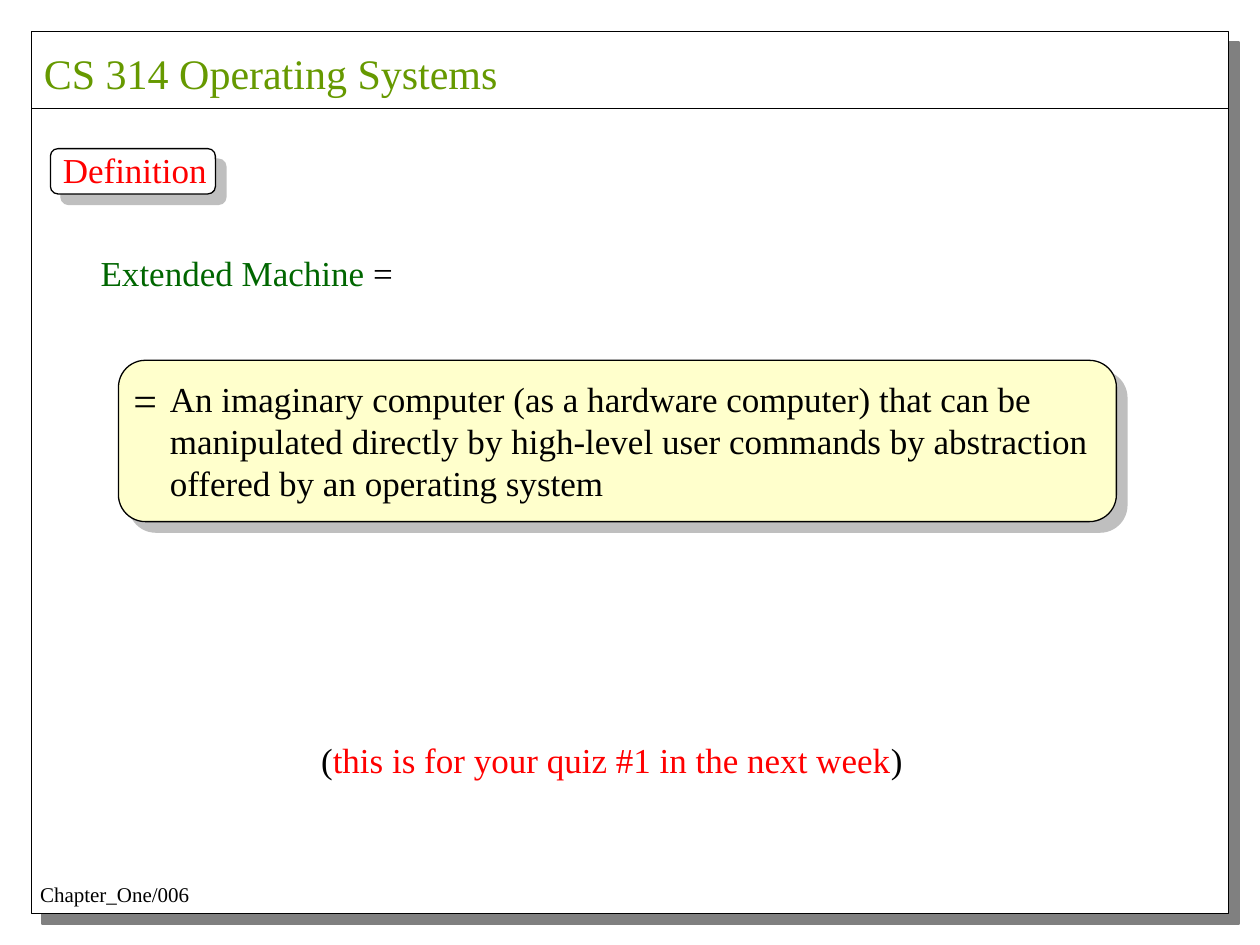
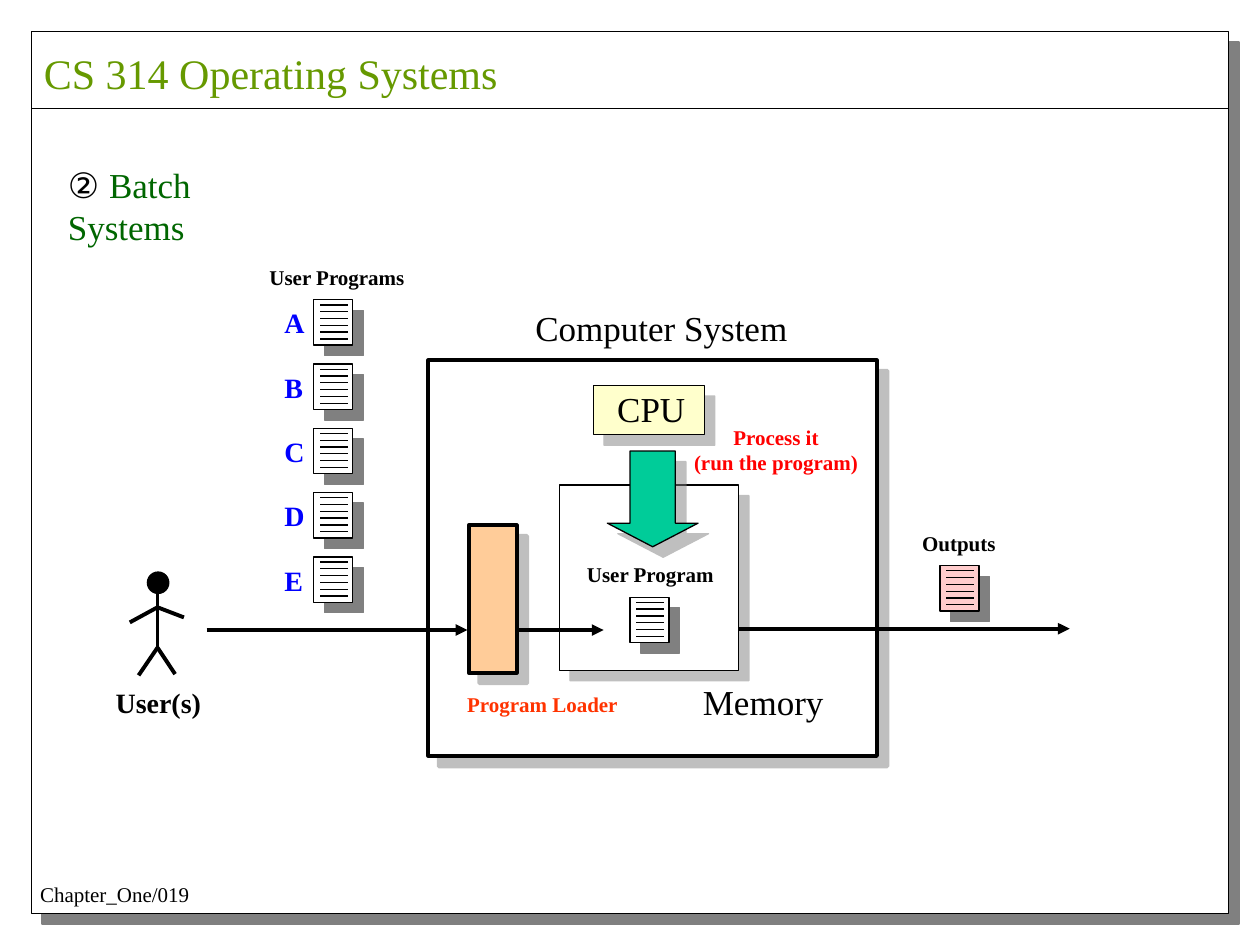
"""Builds two operating systems lecture slides: a definition and a batch system diagram."""
from lxml import etree
from pptx import Presentation
from pptx import util as u
from pptx.dml.color import RGBColor
from pptx.enum import shapes, text
from pptx.oxml.ns import qn

COLORS = {
    "ink": "000000", "paper": "FFFFFF", "shadow": "808080", "title": "669900",
    "red": "FF0000", "term": "006600", "cream": "FFFFCC", "pink": "FFCCCC",
    "arrow": "00CC99", "loader": "FFCC99", "loader_label": "FF3300", "letter": "0000FF",
}
SERIF = "Times New Roman"
THIN, THICK = 0.75, 2.25
BOX = shapes.MSO_SHAPE.RECTANGLE
ROUNDED = shapes.MSO_SHAPE.ROUNDED_RECTANGLE


def color(name):
    """Return the palette colour with this name."""
    return RGBColor.from_string(COLORS[name])


def add_shadow(shape, opacity):
    """Give a shape a hard shadow to the lower right."""
    effects = shape._element.spPr.find(qn("a:effectLst"))
    shadow = etree.SubElement(effects, qn("a:outerShdw"), dist=str(u.Pt(8.5)),
                              dir="2700000", algn="ctr", rotWithShape="0")
    shade = etree.SubElement(shadow, qn("a:srgbClr"), val=COLORS["shadow"])
    etree.SubElement(shade, qn("a:alpha"), val=str(opacity * 1000))


def add_block(canvas, kind, left, top, width, height, fill="paper", weight=THIN, opacity=50):
    """Add an outlined preset shape, with a shadow unless opacity is 0."""
    block = canvas.add_shape(kind, u.Inches(left), u.Inches(top),
                             u.Inches(width), u.Inches(height))
    block.shadow.inherit = False
    block.fill.solid()
    block.fill.fore_color.rgb = color(fill)
    block.line.color.rgb = color("ink")
    block.line.width = u.Pt(weight)
    if opacity:
        add_shadow(block, opacity)
    return block


def add_line(canvas, start, end, weight=THIN, arrow=False):
    """Add a straight black line, with an arrowhead at its end if asked."""
    line = canvas.add_connector(shapes.MSO_CONNECTOR.STRAIGHT,
                                *(u.Inches(value) for value in (*start, *end)))
    line.line.color.rgb = color("ink")
    line.line.width = u.Pt(weight)
    if arrow:
        etree.SubElement(line.line._get_or_add_ln(), qn("a:tailEnd"), type="triangle")
    etree.SubElement(line._element.spPr, qn("a:effectLst"))


def add_label(canvas, left, top, width, height, lines, size=20, ink="ink",
              bold=False, centered=False):
    """Add text; each line is a string or a list of (words, colour, font) runs."""
    label = canvas.add_textbox(u.Inches(left), u.Inches(top), u.Inches(width), u.Inches(height))
    frame = label.text_frame
    frame.word_wrap = True
    frame.auto_size = text.MSO_AUTO_SIZE.NONE
    frame.margin_left = u.Inches(0 if centered else 0.1)
    frame.margin_right = u.Inches(0)
    for index, line in enumerate(lines):
        paragraph = frame.add_paragraph() if index else frame.paragraphs[0]
        paragraph.alignment = text.PP_ALIGN.CENTER if centered else text.PP_ALIGN.LEFT
        paragraph.font.size = u.Pt(size)
        paragraph.font.bold = bold
        if isinstance(line, str):
            paragraph.text = line
            paragraph.font.name = SERIF
            paragraph.font.color.rgb = color(ink)
            continue
        for words, run_ink, typeface in line:
            run = paragraph.add_run()
            run.text = words
            run.font.name = typeface
            run.font.color.rgb = color(run_ink)


def add_document(canvas, left, top, fill="paper"):
    """Add a page icon with six ruled lines."""
    add_block(canvas, BOX, left, top, 0.31, 0.36, fill, opacity=100)
    for row in range(6):
        y = top + 0.04 + row * 0.27 / 5
        add_line(canvas, (left + 0.05, y), (left + 0.27, y))


def add_user(canvas):
    """Add the stick figure of the user and its caption."""
    add_block(canvas, shapes.MSO_SHAPE.OVAL, 1.17, 4.54, 0.17, 0.17, "ink", opacity=0)
    neck, shoulder, hip = (1.25, 4.63), (1.25, 4.82), (1.25, 5.14)
    limbs = [(neck, hip), (hip, (1.1, 5.36)), (hip, (1.39, 5.35)),
             (shoulder, (1.03, 4.94)), (shoulder, (1.46, 4.9))]
    for start, end in limbs:
        add_line(canvas, start, end, THICK)
    add_label(canvas, 0.82, 5.39, 0.87, 0.37, ["User(s)"], 16, bold=True)


def add_page(deck, number):
    """Add a slide with the framed page, course title and page number."""
    canvas = deck.slides.add_slide(deck.slide_layouts[6]).shapes
    add_block(canvas, BOX, 0.25, 0.25, 9.5, 7, opacity=100)
    add_line(canvas, (0.25, 0.86), (9.75, 0.86))
    add_label(canvas, 0.25, 0.33, 3.8, 0.5, ["CS 314 Operating Systems"], 24, "title")
    add_label(canvas, 0.22, 6.95, 1.38, 0.3, [f"Chapter_One/{number:03}"], 12)
    return canvas


def build_definition(deck):
    """Build the slide that defines the extended machine."""
    page = add_page(deck, 6)
    add_block(page, ROUNDED, 0.4, 1.18, 1.31, 0.36)
    add_label(page, 0.4, 1.13, 1.34, 0.44, ["Definition"], ink="red")
    add_label(page, 0.7, 1.95, 2.52, 0.44,
              [[("Extended Machine", "term", SERIF), (" =", "ink", SERIF)]])
    add_block(page, ROUNDED, 0.94, 2.86, 7.92, 1.28, "cream")
    add_label(page, 0.96, 2.92, 0.39, 0.5, ["="], 24)
    add_label(page, 1.25, 2.95, 7.49, 1.1, [
        "An imaginary computer (as a hardware computer) that can be",
        "manipulated directly by high-level user commands by abstraction",
        "offered by an operating system"])
    add_label(page, 2.45, 5.81, 4.81, 0.44, [[
        ("(", "ink", SERIF),
        ("this is for your quiz #1 in the next week", "red", SERIF),
        (")", "ink", SERIF)]])


def build_batch_systems(deck):
    """Build the diagram of programs loaded, run and printed in a batch system."""
    page = add_page(deck, 19)
    add_label(page, 0.44, 1.25, 1.6, 0.77,
              [[("② ", "ink", "Arial"), ("Batch Systems", "term", SERIF)]])

    add_block(page, BOX, 3.4, 2.86, 3.56, 3.14, weight=THICK)
    add_label(page, 4.15, 2.38, 2.2, 0.44, ["Computer System"])
    add_block(page, BOX, 4.71, 3.06, 0.88, 0.39, "cream")
    add_label(page, 4.8, 3.03, 0.74, 0.44, ["CPU"])
    add_block(page, BOX, 4.44, 3.85, 1.42, 1.47)
    add_label(page, 5.48, 5.35, 1.16, 0.44, ["Memory"])
    add_line(page, (1.64, 5), (3.71, 5), THICK, arrow=True)

    add_label(page, 4.56, 4.41, 1.21, 0.3, ["User Program"], 12, bold=True)
    add_document(page.add_group_shape().shapes, 5, 4.74)
    add_line(page, (5.86, 4.99), (8.49, 4.99), THICK, arrow=True)
    add_label(page, 7.22, 4.16, 0.78, 0.3, ["Outputs"], 12, bold=True)
    add_document(page.add_group_shape().shapes, 7.46, 4.49, "pink")

    process = add_block(page, shapes.MSO_SHAPE.DOWN_ARROW, 4.82, 3.58, 0.72, 0.76, "arrow")
    process.adjustments[0] = 0.5
    process.adjustments[1] = 0.26
    add_label(page, 5.41, 3.32, 1.5, 0.5, ["Process it", "(run the program)"],
              12, "red", bold=True, centered=True)

    add_label(page, 2.04, 2.05, 1.28, 0.3, ["User Programs"], 12, bold=True)
    for index, letter in enumerate("ABCDE"):
        program = page.add_group_shape().shapes
        top = 2.38 + index * 0.51
        add_document(program, 2.49, top)
        add_label(program, 2.16, top, 0.36, 0.37, [letter], 16, "letter", bold=True)

    add_label(page, 3.61, 5.44, 1.4, 0.3, ["Program Loader"], 12, "loader_label", bold=True)
    add_block(page, BOX, 3.72, 4.17, 0.38, 1.17, "loader", THICK)
    add_line(page, (4.1, 5), (4.79, 5), THICK, arrow=True)
    add_user(page.add_group_shape().shapes)


def main():
    """Build and save the deck."""
    deck = Presentation()
    deck.slide_width, deck.slide_height = u.Inches(10), u.Inches(7.5)
    build_definition(deck)
    build_batch_systems(deck)
    deck.save("out.pptx")


if __name__ == "__main__":
    main()
